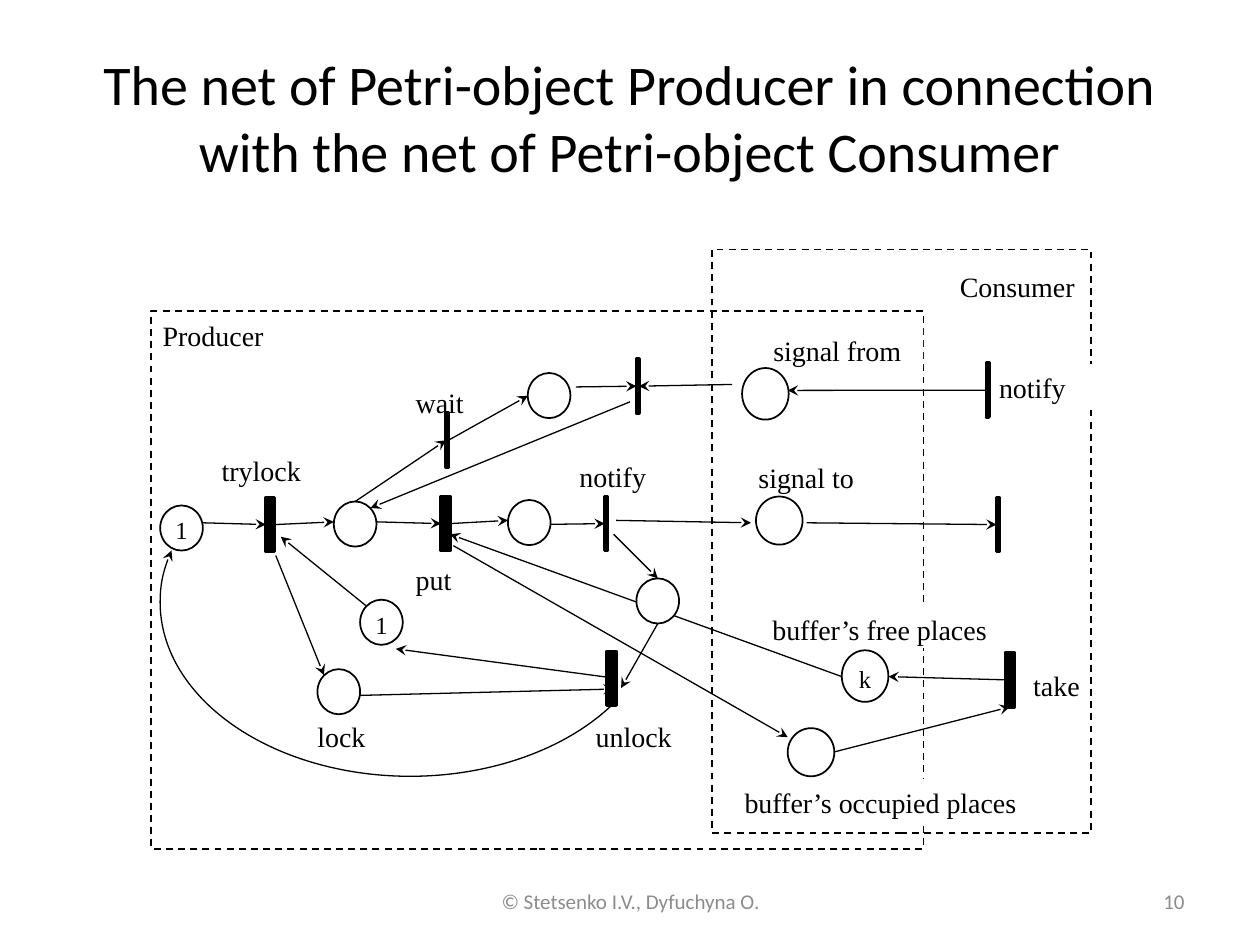
"""Build the slide of the Producer and Consumer Petri nets."""
import lxml.etree
import pptx
import pptx.dml.color
import pptx.enum.dml
import pptx.enum.shapes
import pptx.enum.text
import pptx.oxml.ns
import pptx.util

Cm, Pt = pptx.util.Cm, pptx.util.Pt
qn = pptx.oxml.ns.qn
rgb = pptx.dml.color.RGBColor.from_string
Kind = pptx.enum.shapes.MSO_SHAPE
Align = pptx.enum.text.PP_ALIGN
Anchor = pptx.enum.text.MSO_ANCHOR

hues = {"ink": "000000", "paper": "FFFFFF", "grey": "8C8C8C"}
tight = {"margin_left": Cm(0.05), "margin_right": Cm(0.05),
         "margin_top": Cm(0.03), "margin_bottom": Cm(0.03),
         "vertical_anchor": Anchor.TOP}
bare = {"margin_left": 0, "margin_right": 0, "margin_top": 0,
        "margin_bottom": 0, "vertical_anchor": Anchor.MIDDLE}
middle = {"vertical_anchor": Anchor.MIDDLE}
serif = {"name": "Times New Roman", "size": Pt(16)}
token = {"name": "Times New Roman", "size": Pt(14)}
small = {"name": "Calibri", "size": Pt(12)}
large = {"name": "Calibri", "size": Pt(32)}


def write(shape, text, frame, para, font, hue="ink"):
    box = shape.text_frame
    box.word_wrap = True
    line = box.paragraphs[0]
    line.text = text
    for part, form in ((box, frame), (line, para), (line.font, font)):
        for key, value in form.items():
            setattr(part, key, value)
    line.font.color.rgb = rgb(hues[hue])


def draw(kind, box, fill=None, width=None):
    shape = shapes.add_shape(kind, *(Cm(v) for v in box))
    shape.shadow.inherit = False
    if fill:
        shape.fill.solid()
        shape.fill.fore_color.rgb = rgb(hues[fill])
    else:
        shape.fill.background()
    if width:
        shape.line.color.rgb = rgb(hues["ink"])
        shape.line.width = Pt(width)
    else:
        shape.line.fill.background()
    return shape


deck = pptx.Presentation()
deck.slide_width, deck.slide_height = Cm(25.4), Cm(19.05)
slide = deck.slides.add_slide(deck.slide_layouts[6])
shapes = slide.shapes

texts = [
    ("The net of Petri-object Producer in connection with the net of "
     "Petri-object Consumer", (1.27, 0.76, 22.86, 3.18), Align.CENTER, large, "ink"),
    ("© Stetsenko I.V., Dyfuchyna O.", (8.69, 17.65, 8.05, 1.02), Align.CENTER, small, "grey"),
    ("10", (18.21, 17.65, 5.92, 1.02), Align.RIGHT, small, "grey"),
]
for text, box, align, font, hue in texts:
    shape = shapes.add_textbox(*(Cm(v) for v in box))
    write(shape, text, middle, {"alignment": align}, font, hue)

for box in ((3.05, 6.27, 15.57, 10.85), (14.35, 5.03, 7.65, 11.76)):
    frame = draw(Kind.RECTANGLE, box, width=1)
    frame.line.dash_style = pptx.enum.dml.MSO_LINE.DASH

labels = [
    ("Producer", 3.23, 6.3, 2.29, 0.97),
    ("Consumer", 19.3, 5.31, 2.62, 0.97),
    ("trylock", 4.42, 9.02, 2.11, 1.04),
    ("wait", 8.33, 7.65, 1.14, 0.86),
    ("put", 8.33, 11.2, 1.14, 0.94),
    ("notify", 11.63, 9.14, 1.73, 0.94),
    ("lock", 6.35, 14.38, 1.24, 0.94),
    ("unlock", 11.96, 14.38, 2.06, 1.07),
    ("signal from", 15.54, 6.6, 3.07, 0.81),
    ("signal to", 15.24, 9.25, 2.16, 0.84),
    ("notify", 20.09, 7.34, 1.93, 0.86),
    ("buffer’s free places", 15.52, 12.22, 5.11, 0.84),
    ("take", 20.78, 13.34, 1.14, 0.66),
    ("buffer’s occupied places", 14.96, 15.7, 6.25, 0.89),
]
for text, *box in labels:
    space = 1.0 if text == "signal to" else 1.15
    write(draw(Kind.RECTANGLE, box, "paper"), text, tight,
          {"alignment": Align.LEFT, "line_spacing": space}, serif)

thick, thin = 0.18, 0.05
bars = {}
for name, left, top, width in [
    ("trylock", 5.36, 10.03, thick),
    ("put", 8.89, 10.01, thick),
    ("unlock", 12.24, 13.13, thick),
    ("take", 20.27, 13.16, thick),
    ("wait", 8.99, 8.33, thin),
    ("resume", 12.83, 7.24, thin),
    ("notify", 12.19, 10.01, thin),
    ("signal", 19.89, 7.32, thin),
    ("get", 20.09, 10.03, thin),
]:
    bars[name] = draw(Kind.RECTANGLE, (left, top, width, 1.09), "ink", 2)

links = [
    ((4.09, 10.54), ("trylock", 1)),
    (("trylock", 3), (6.73, 10.52)),
    ((7.59, 10.52), ("put", 1)),
    (("put", 3), (10.24, 10.49)),
    ((11.07, 10.57), ("notify", 1)),
    ((12.42, 10.49), (15.14, 10.54)),
    ((16.26, 10.54), ("get", 1)),
    ((7.16, 10.11), ("wait", 1)),
    (("wait", 3), (10.64, 7.98)),
    ((11.61, 7.8), ("resume", 1)),
    ((14.76, 7.75), ("resume", 3)),
    (("signal", 1), (15.88, 7.87)),
    ((12.7, 8.1), (7.47, 10.24)),
    ((12.37, 10.77), (13.26, 11.66)),
    ((13.26, 12.57), (12.52, 13.87)),
    ((7.39, 12.22), (5.66, 10.82)),
    ((5.56, 11.2), (6.53, 13.61)),
    (("unlock", 3), (7.98, 13.08)),
    ((7.19, 14.02), (12.37, 13.89)),
    ((9.14, 11), (15.88, 14.86)),
    ((16.97, 13.64), (9.07, 10.77)),
    (("take", 1), (17.91, 13.64)),
    ((16.81, 15.16), ("take", 2)),
]
arrows = []
for ends in links:
    spots = [(0, 0) if end[0] in bars else end for end in ends]
    link = shapes.add_connector(pptx.enum.shapes.MSO_CONNECTOR.STRAIGHT,
                                *(Cm(v) for spot in spots for v in spot))
    for end, join in zip(ends, (link.begin_connect, link.end_connect)):
        if end[0] in bars:
            join(bars[end[0]], end[1])
    link.line.color.rgb = rgb(hues["ink"])
    link.line.width = Pt(0.75)
    lxml.etree.SubElement(link.element.spPr, qn("a:effectLst"))
    arrows.append(link)

arc = draw(Kind.ARC, (3.23, 8.64, 10.08, 7.01), width=0.75)
for i, angle in enumerate((25.04, 192.27)):
    arc.adjustments[i] = angle * 0.6
for arrow in arrows + [arc]:
    line = arrow.element.spPr.find(qn("a:ln"))
    lxml.etree.SubElement(line, qn("a:tailEnd"), type="stealth")

places = [
    ("1", 3.23, 10.19, 0.86, 0.91),
    ("", 6.73, 10.11, 0.86, 0.91),
    ("", 10.24, 10.08, 0.86, 0.91),
    ("", 10.64, 7.52, 0.86, 0.91),
    ("1", 7.26, 12.09, 0.86, 0.91),
    ("", 6.4, 13.49, 0.86, 0.91),
    ("", 12.83, 11.66, 0.86, 0.91),
    ("", 14.96, 7.42, 0.94, 1.04),
    ("", 15.24, 10.01, 0.94, 0.97),
    ("k", 16.97, 13.11, 0.94, 1.04),
    ("", 15.88, 14.68, 0.94, 0.97),
]
for text, *box in places:
    place = draw(Kind.OVAL, box, "paper", 1)
    if text:
        write(place, text, bare, {"alignment": Align.CENTER, "line_spacing": 1.15,
                                  "space_after": Pt(10)}, token)

deck.save("out.pptx")
